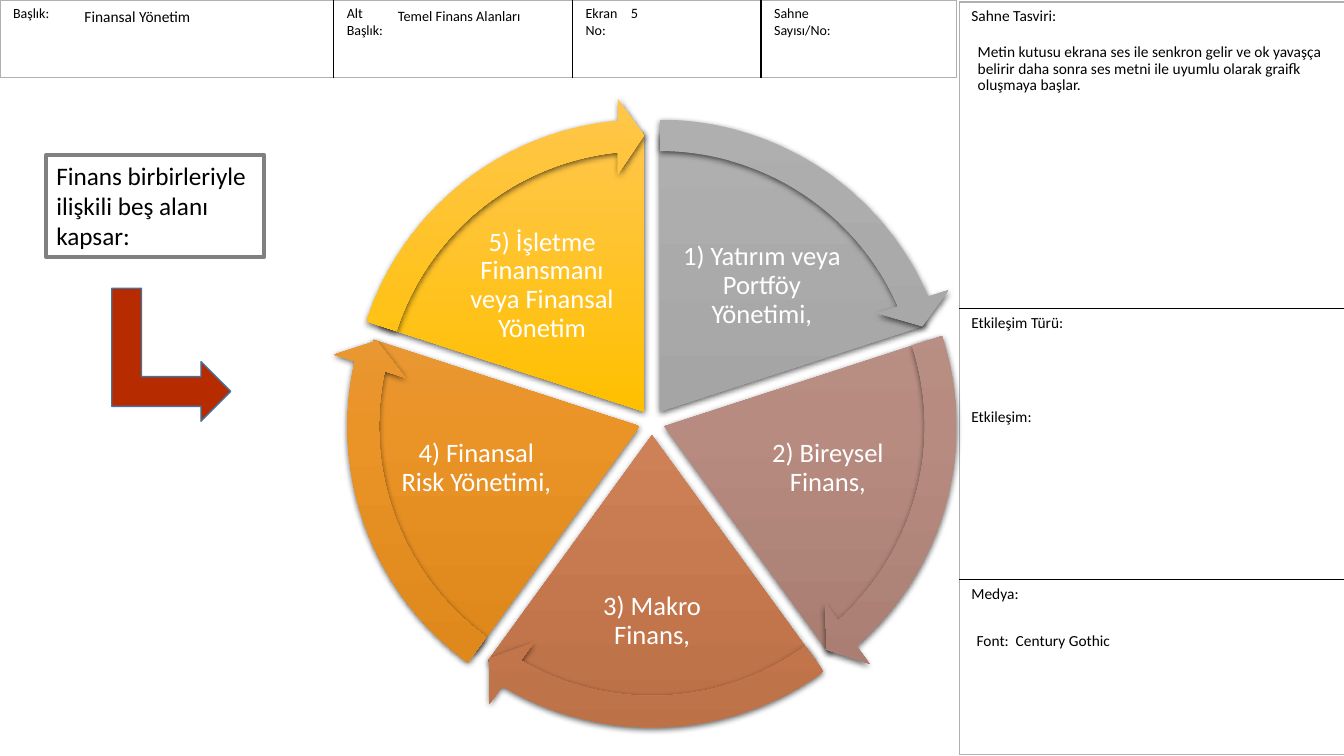
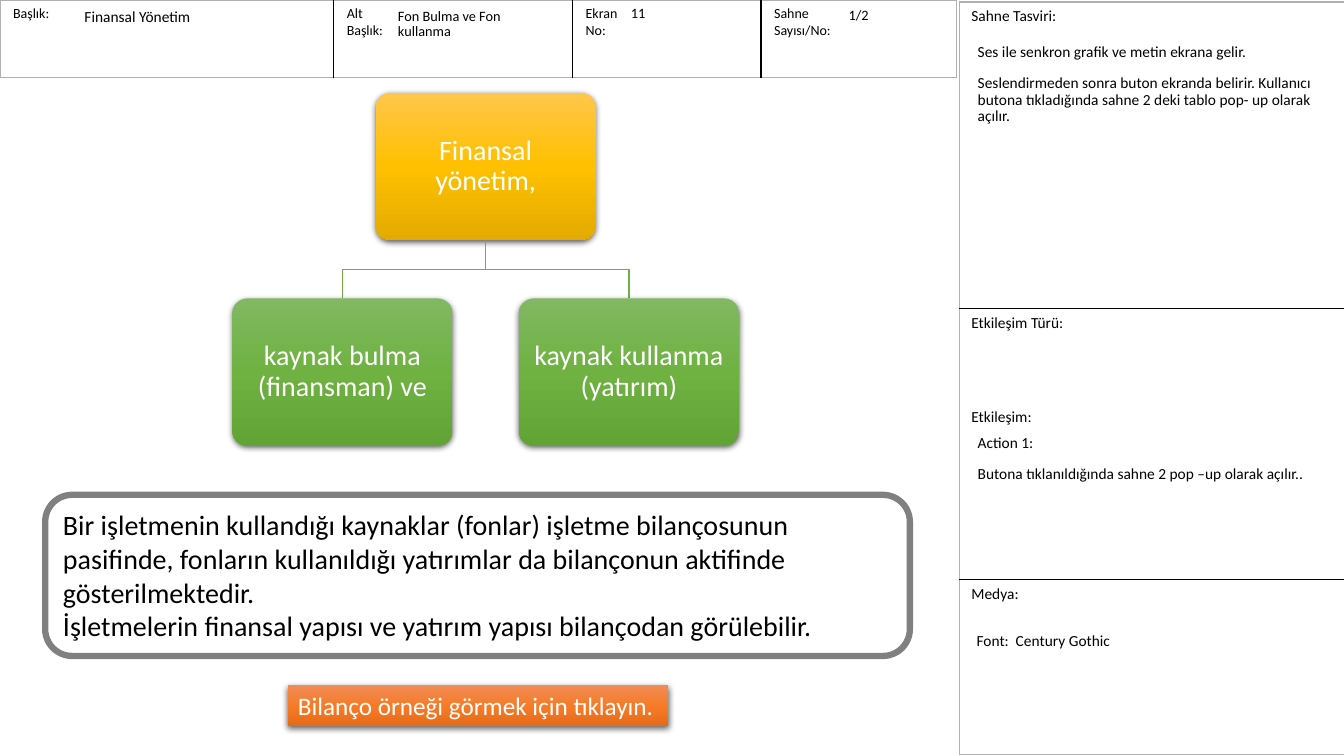
import copy
import math
from dataclasses import dataclass

import pptx
import pptx.dml.color
import pptx.enum.shapes
import pptx.enum.text
import pptx.oxml
import pptx.oxml.ns
import pptx.util

Cm = pptx.util.Cm
Pt = pptx.util.Pt
SHAPES = pptx.enum.shapes.MSO_SHAPE
ANCHOR = pptx.enum.text.MSO_ANCHOR
ALIGN = pptx.enum.text.PP_ALIGN


@dataclass(frozen=True)
class Theme:
    font: str = "Calibri"
    text: str = "000000"
    white: str = "FFFFFF"
    frame: str = "B0B0B0"
    border: str = "808080"
    bent_arrow: str = "B62C00"
    bent_arrow_line: str = "43739E"
    tree_line: str = "70AD47"
    gold: tuple = ("FFC64B", "FFC000", "E3AB00")
    green: tuple = ("81B861", "6FB242", "62A336")
    orange: tuple = ("F18C57", "F67B28", "E56C19")
    wheel: tuple = (
        ("AFAFAF", "A5A5A5", "939393"),
        ("BD9A91", "B78B80", "A57A6F"),
        ("CF8F72", "CE8056", "BD7147"),
        ("E6A456", "EA9327", "DA8519"),
        ("FFC64B", "FFC000", "E3AB00"),
    )
    label: float = 10
    field: float = 10.2
    note: float = 11
    callout: float = 18
    wedge: float = 19
    body: float = 20


THEME = Theme()

# Content: storyboard frame (lengths in cm)
HEADER_LABELS = [[["Başlık:"], ["Alt", "Başlık:"], ["Ekran", "No:"], ["Sahne", "Sayısı/No:"]]]
SIDE_LABELS = [[["Sahne Tasviri:"]], [["Etkileşim Türü:", "Etkileşim:"]], [["Medya:"]]]
HEADER_COLUMNS, HEADER_ROWS = [8.41, 6.02, 4.75, 4.93], [1.96]
SIDE_COLUMNS, SIDE_ROWS = [9.75], [7.72, 6.83, 4.42]

# Field name: (left, top, width, height), type size
FIELDS = {
    "title": ((1.85, 0.08, 6.45, 1.88), THEME.note),
    "subtitle": ((9.75, 0.08, 4.55, 1.68), THEME.field),
    "screen": ((15.62, 0, 3.45, 1.73), THEME.field),
    "scene": ((21.11, 0.05, 2.79, 1.7), THEME.field),
    "description": ((24.36, 0.97, 9.32, 6.86), THEME.note),
    "interaction": ((24.36, 10.82, 9.32, 3.33), THEME.note),
    "media": ((24.33, 15.8, 9.37, 2.97), THEME.note),
}
COMMON_FIELDS = {"title": ["Finansal Yönetim"], "media": ["Font:\u00a0 Century Gothic".replace("\u00a0", " ")]}
AREA_FIELDS = {
    "subtitle": ["Temel Finans Alanları"],
    "screen": ["5"],
    "description": [
        "Metin kutusu ekrana ses ile senkron gelir ve ok yavaşça belirir "
        "daha sonra ses metni ile uyumlu olarak graifk oluşmaya başlar."
    ],
}
FUND_FIELDS = {
    "subtitle": ["Fon Bulma ve Fon kullanma"],
    "screen": ["11"],
    "scene": ["1/2"],
    "description": [
        "Ses ile senkron grafik ve metin ekrana gelir.",
        "Seslendirmeden sonra buton ekranda belirir. Kullanıcı butona "
        "tıkladığında sahne 2 deki tablo pop- up olarak açılır.",
    ],
    "interaction": ["Action 1:", "Butona tıklanıldığında sahne 2 pop –up olarak açılır.."],
}

# Content: slide bodies
AREAS_INTRO = ["Finans birbirleriyle ilişkili beş alanı kapsar:"]
AREAS = [
    ("1) Yatırım veya Portföy Yönetimi,", (16.94, 5.69, 4.52, 3.02)),
    ("2) Bireysel Finans,", (18.77, 10.13, 4.19, 3.35)),
    ("3) Makro Finans,", (14.43, 13.82, 4.01, 3.68)),
    ("4) Finansal Risk Yönetimi,", (9.91, 10.13, 4.19, 3.35)),
    ("5) İşletme Finansmanı veya Finansal Yönetim", (11.4, 5.69, 4.52, 3.02)),
]
TREE_ROOT = "Finansal yönetim,"
TREE_CHILDREN = ["kaynak bulma (finansman) ve", "kaynak kullanma (yatırım)"]
FUND_TEXT = [
    "Bir işletmenin kullandığı kaynaklar (fonlar) işletme bilançosunun pasifinde, "
    "fonların kullanıldığı yatırımlar da bilançonun aktifinde gösterilmektedir.",
    "İşletmelerin finansal yapısı ve yatırım yapısı bilançodan görülebilir.",
]
BUTTON_TEXT = ["Bilanço örneği görmek için tıklayın."]

# Geometry of the wheel and the tree
WHEEL_CENTER, WHEEL_OFFSET = (16.43, 10.64), 0.33
PIE_SIZE, ARROW_SIZE = 14.07, 15.82
FULL_TURN, WHEEL_START, ARROW_HEAD = 216, 162, 3.28
TREE_X, TREE_SPREAD = 12.24, 3.61
ROOT_TOP, CHILD_TOP = 2.34, 7.52
NODE_WIDTH, NODE_HEIGHT = 5.54, 3.71


# Drawing helpers
def rgb(color):
    return pptx.dml.color.RGBColor.from_string(color)


def place(frame):
    return [Cm(length) for length in frame]


def write(text_frame, lines, size, color=THEME.text, align=ALIGN.LEFT, anchor=ANCHOR.TOP,
          margins=(0.25, 0.13), spacing=None, before=0, wrap=True):
    text_frame.word_wrap = wrap
    text_frame.vertical_anchor = anchor
    text_frame.margin_left = text_frame.margin_right = Cm(margins[0])
    text_frame.margin_top = text_frame.margin_bottom = Cm(margins[1])
    for index, line in enumerate(lines):
        paragraph = text_frame.paragraphs[0] if index == 0 else text_frame.add_paragraph()
        paragraph.text = line
        paragraph.alignment = align
        paragraph.line_spacing = spacing
        paragraph.space_before = Pt(before)
        paragraph.font.name = THEME.font
        paragraph.font.size = Pt(size)
        paragraph.font.color.rgb = rgb(color)


def add_shape(slide, kind, frame, fill=None, line=None, line_width=1, adjustments=()):
    shape = slide.shapes.add_shape(kind, *place(frame))
    shape.shadow.inherit = False
    for index, value in enumerate(adjustments):
        shape.adjustments[index] = value
    if fill:
        shape.fill.solid()
        shape.fill.fore_color.rgb = rgb(fill)
    else:
        shape.fill.background()
    if line:
        shape.line.color.rgb = rgb(line)
        shape.line.width = Pt(line_width)
    else:
        shape.line.fill.background()
    return shape


def add_raised_shape(slide, kind, frame, colors, adjustments=()):
    """Shape with a three-stop vertical gradient and a soft shadow."""
    shape = add_shape(slide, kind, frame, adjustments=adjustments)
    shape.fill.gradient()
    shape.fill.gradient_angle = 270
    properties = shape._element.spPr
    stop_list = properties.find(".//" + pptx.oxml.ns.qn("a:gsLst"))
    stop_list.insert(1, copy.deepcopy(stop_list[0]))
    for stop, color, position in zip(shape.fill.gradient_stops, colors, (0, 0.5, 1)):
        stop.color.rgb = rgb(color)
        stop.position = position
    properties.find(pptx.oxml.ns.qn("a:effectLst")).append(pptx.oxml.parse_xml(
        f'<a:outerShdw {pptx.oxml.ns.nsdecls("a")} blurRad="{Pt(4.5)}" dist="{Pt(1.5)}" '
        'dir="5400000" algn="ctr" rotWithShape="0"><a:srgbClr val="000000">'
        '<a:alpha val="63000"/></a:srgbClr></a:outerShdw>'))
    return shape


def add_border(cell, edge, color):
    cell._tc.get_or_add_tcPr().append(pptx.oxml.parse_xml(
        f'<a:{edge} {pptx.oxml.ns.nsdecls("a")} w="{Pt(1)}"><a:solidFill>'
        f'<a:srgbClr val="{color}"/></a:solidFill></a:{edge}>'))


def add_label_table(slide, left, top, columns, rows, labels, size, margin):
    frame = (left, top, sum(columns), sum(rows))
    table = slide.shapes.add_table(len(rows), len(columns), *place(frame)).table
    table.first_row = table.horz_banding = False
    for column, width in zip(table.columns, columns):
        column.width = Cm(width)
    for row, height in zip(table.rows, rows):
        row.height = Cm(height)
    for y, line in enumerate(labels):
        for x, lines in enumerate(line):
            cell = table.cell(y, x)
            outer_edges = {"lnL": x == 0, "lnR": x == len(columns) - 1,
                           "lnT": y == 0, "lnB": y == len(rows) - 1}
            for edge, outer in outer_edges.items():
                add_border(cell, edge, THEME.frame if outer else THEME.text)
            cell.fill.solid()
            cell.fill.fore_color.rgb = rgb(THEME.white)
            write(cell.text_frame, lines, size)
            cell.margin_left = cell.margin_right = Cm(margin)
            cell.margin_top = cell.margin_bottom = Cm(0.13)
            cell.vertical_anchor = ANCHOR.TOP
    return table


# Shared storyboard frame
def add_storyboard_slide(presentation, fields):
    slide = presentation.slides.add_slide(presentation.slide_layouts[6])
    add_label_table(slide, 0, 0, HEADER_COLUMNS, HEADER_ROWS, HEADER_LABELS, THEME.label, 0.33)
    side = add_label_table(slide, 24.18, 0.05, SIDE_COLUMNS, SIDE_ROWS, SIDE_LABELS, THEME.note, 0.3)
    side.cell(1, 0).text_frame.paragraphs[1].space_before = Pt(54)
    for name, lines in (COMMON_FIELDS | fields).items():
        frame, size = FIELDS[name]
        box = slide.shapes.add_textbox(*place(frame))
        write(box.text_frame, lines, size, margins=(0.28, 0.15), spacing=0.9, before=10)
    return slide


# Slide with the five areas of finance
def add_wheel(slide):
    step = FULL_TURN / len(AREAS)
    pieces = []
    for index, colors in enumerate(THEME.wheel):
        start = (WHEEL_START + index * step) % FULL_TURN
        end = (start + step) % FULL_TURN or FULL_TURN
        middle = math.tau * (start + step / 2) / FULL_TURN
        center = (WHEEL_CENTER[0] + WHEEL_OFFSET * math.cos(middle),
                  WHEEL_CENTER[1] + WHEEL_OFFSET * math.sin(middle))
        pieces.append((center, start, end, colors))

    def centered(center, size):
        return center[0] - size / 2, center[1] - size / 2, size, size

    for (center, start, end, colors), (text, frame) in zip(pieces, AREAS):
        add_raised_shape(slide, SHAPES.PIE, centered(center, PIE_SIZE), colors, (start, end))
        label = slide.shapes.add_textbox(*place(frame))
        write(label.text_frame, [text], THEME.wedge, THEME.white, ALIGN.CENTER,
              ANCHOR.MIDDLE, (0.08, 0.08), 0.9)
    for center, start, end, colors in pieces:
        add_raised_shape(slide, SHAPES.CIRCULAR_ARROW, centered(center, ARROW_SIZE), colors,
                         (0.05, ARROW_HEAD, end - ARROW_HEAD, start, 0.06))


def build_areas_slide(presentation):
    slide = add_storyboard_slide(presentation, AREA_FIELDS)
    intro = add_shape(slide, SHAPES.RECTANGLE, (1.17, 3.91, 5.49, 2.57),
                      line=THEME.border, line_width=3)
    write(intro.text_frame, AREAS_INTRO, THEME.callout)
    add_wheel(slide)
    arrow = add_shape(slide, SHAPES.BENT_UP_ARROW, (2.64, 7.44, 3.35, 3),
                      THEME.bent_arrow, THEME.bent_arrow_line)
    arrow.rotation = 90


# Slide with the funding tree
def add_node(slide, center, top, text, colors):
    node = add_raised_shape(slide, SHAPES.ROUNDED_RECTANGLE,
                            (center - NODE_WIDTH / 2, top, NODE_WIDTH, NODE_HEIGHT), colors, (0.1,))
    write(node.text_frame, [text], THEME.body, THEME.white, ALIGN.CENTER,
          ANCHOR.MIDDLE, (0.2, 0.2), 0.9)


def add_branch(slide, child):
    top = ROOT_TOP + NODE_HEIGHT
    bend = (top + CHILD_TOP) / 2
    builder = slide.shapes.build_freeform(Cm(TREE_X), Cm(top))
    points = [(TREE_X, bend), (child, bend), (child, CHILD_TOP)]
    builder.add_line_segments([place(point) for point in points], close=False)
    branch = builder.convert_to_shape()
    branch.shadow.inherit = False
    branch.fill.background()
    branch.line.color.rgb = rgb(THEME.tree_line)
    branch.line.width = Pt(1)


def build_funds_slide(presentation):
    slide = add_storyboard_slide(presentation, FUND_FIELDS)
    summary = add_shape(slide, SHAPES.ROUNDED_RECTANGLE, (1.14, 12.47, 21.79, 4.06),
                        THEME.white, THEME.border, 4.5)
    write(summary.text_frame, FUND_TEXT, THEME.body)
    add_node(slide, TREE_X, ROOT_TOP, TREE_ROOT, THEME.gold)
    for side, text in zip((-1, 1), TREE_CHILDREN):
        child = TREE_X + side * TREE_SPREAD
        add_branch(slide, child)
        add_node(slide, child, CHILD_TOP, text, THEME.green)
    button = add_raised_shape(slide, SHAPES.RECTANGLE, (7.26, 17.27, 9.58, 1.02), THEME.orange)
    write(button.text_frame, BUTTON_TEXT, THEME.callout, THEME.white, wrap=False)


def main():
    presentation = pptx.Presentation()
    presentation.slide_width, presentation.slide_height = Cm(33.87), Cm(19.05)
    build_areas_slide(presentation)
    build_funds_slide(presentation)
    presentation.save("out.pptx")


if __name__ == "__main__":
    main()
